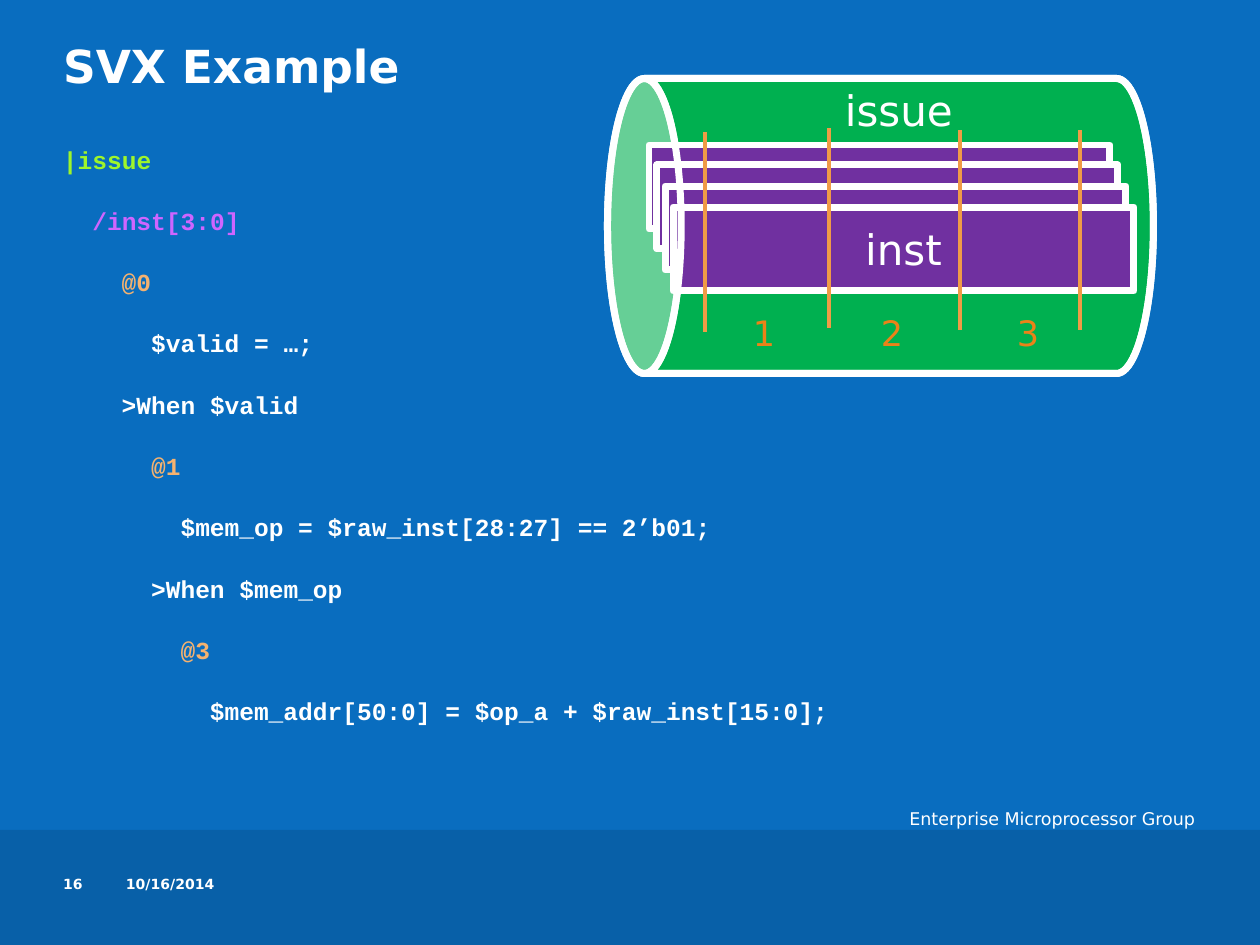
from dataclasses import dataclass
from typing import NamedTuple

from lxml.etree import SubElement
from pptx import Presentation
from pptx.dml.color import RGBColor
from pptx.enum.shapes import MSO_CONNECTOR, MSO_SHAPE
from pptx.enum.text import MSO_ANCHOR, MSO_AUTO_SIZE, PP_ALIGN
from pptx.oxml.ns import qn
from pptx.util import Pt

EMU_PER_PX = 914400 / 126


@dataclass(frozen=True)
class Theme:
    back: str = "096DBF"
    band: str = "0860A8"
    white: str = "FFFFFF"
    pipe: str = "00B050"
    inst: str = "7030A0"
    divider: str = "F09B46"
    stage: str = "EC8218"
    code_pipe: str = "9EF52B"
    code_inst: str = "CF65FF"
    code_stage: str = "F4B270"
    sans: str = "DejaVu Sans"
    mono: str = "Courier New"
    title_pt: int = 26
    label_pt: int = 24
    stage_pt: int = 20
    code_pt: int = 14
    group_pt: int = 10
    footer_pt: int = 8
    outline_pt: float = 4
    divider_pt: float = 2.25


THEME = Theme()


class Box(NamedTuple):
    x: int
    y: int
    w: int
    h: int


class CodeLine(NamedTuple):
    level: int
    text: str
    color: str = THEME.white


class Divider(NamedTuple):
    x: int
    top: int
    bottom: int


class Stage(NamedTuple):
    text: str
    center: int


CODE = [
    CodeLine(0, "|issue", THEME.code_pipe),
    CodeLine(1, "/inst[3:0]", THEME.code_inst),
    CodeLine(2, "@0", THEME.code_stage),
    CodeLine(3, "$valid = …;"),
    CodeLine(2, ">When $valid"),
    CodeLine(3, "@1", THEME.code_stage),
    CodeLine(4, "$mem_op = $raw_inst[28:27] == 2’b01;"),
    CodeLine(3, ">When $mem_op"),
    CodeLine(4, "@3", THEME.code_stage),
    CodeLine(5, "$mem_addr[50:0] = $op_a + $raw_inst[15:0];"),
]
DIVIDERS = [Divider(705, 132, 332), Divider(829, 128, 328),
            Divider(960, 130, 330), Divider(1080, 130, 330)]
STAGES = [Stage("1", 764), Stage("2", 892), Stage("3", 1028)]
INST_COUNT = 4


def px(n: float) -> int:
    return round(n * EMU_PER_PX)


def apply(target, values: dict) -> None:
    for name, value in values.items():
        setattr(target, name, value)


def write(p, text: str, size: int, color: str = THEME.white,
          font: str = THEME.sans, bold: bool = False) -> None:
    r = p.add_run()
    r.text = text
    apply(r.font, {"name": font, "size": Pt(size), "bold": bold})
    r.font.color.rgb = RGBColor.from_string(color)


def plain_frame(s, wrap: bool = True):
    """Text frame without insets, anchored at the top."""
    tf = s.text_frame
    apply(tf, {"margin_left": 0, "margin_top": 0, "margin_right": 0,
               "margin_bottom": 0, "word_wrap": wrap,
               "auto_size": MSO_AUTO_SIZE.NONE,
               "vertical_anchor": MSO_ANCHOR.TOP})
    return tf


def add_text(slide, box: Box, text: str, size: int,
             align=PP_ALIGN.LEFT, bold: bool = False) -> None:
    s = slide.shapes.add_textbox(*map(px, box))
    p = plain_frame(s).paragraphs[0]
    p.alignment = align
    write(p, text, size, bold=bold)


def add_shape(slide, kind, box: Box, fill: str | None, outlined: bool = True):
    s = slide.shapes.add_shape(kind, *map(px, box))
    s.shadow.inherit = False
    if fill:
        s.fill.solid()
        s.fill.fore_color.rgb = RGBColor.from_string(fill)
    else:
        s.fill.background()
    if outlined:
        s.line.color.rgb = RGBColor.from_string(THEME.white)
        s.line.width = Pt(THEME.outline_pt)
    else:
        s.line.fill.background()
    return s


def add_label(s, text: str, size: int, color: str, anchor) -> None:
    tf = s.text_frame
    apply(tf, {"word_wrap": False, "vertical_anchor": anchor})
    p = tf.paragraphs[0]
    p.alignment = PP_ALIGN.CENTER
    write(p, text, size, color)


def add_can(slide, box: Box, fill: str | None):
    s = add_shape(slide, MSO_SHAPE.CAN, box, fill)
    s.rotation = 270
    return s


def add_divider(slide, d: Divider) -> None:
    s = slide.shapes.add_connector(MSO_CONNECTOR.STRAIGHT, px(d.x), px(d.top),
                                   px(d.x), px(d.bottom))
    s.line.color.rgb = RGBColor.from_string(THEME.divider)
    s.line.width = Pt(THEME.divider_pt)
    SubElement(s.element.spPr, qn("a:effectLst"))


def add_code(slide, box: Box, lines: list[CodeLine]) -> None:
    tf = plain_frame(slide.shapes.add_textbox(*map(px, box)))
    level_width = Pt(THEME.code_pt * 1.2)  # two monospaced characters
    for i, line in enumerate(lines):
        p = tf.add_paragraph() if i else tf.paragraphs[0]
        apply(p, {"line_spacing": 1.5, "space_before": Pt(9.8 if i else 0)})
        pPr = p._p.get_or_add_pPr()
        pPr.set("marL", str(line.level * level_width))
        pPr.set("indent", "0")
        write(p, line.text, THEME.code_pt, line.color, THEME.mono, True)


def main() -> None:
    prs = Presentation()
    apply(prs, {"slide_width": px(1260), "slide_height": px(945)})
    slide = prs.slides.add_slide(prs.slide_layouts[5])
    slide.background.fill.solid()
    slide.background.fill.fore_color.rgb = RGBColor.from_string(THEME.back)

    # Title
    title = slide.shapes.title
    apply(title, dict(zip(("left", "top", "width", "height"),
                          map(px, Box(63, 38, 634, 122)))))
    p = plain_frame(title).paragraphs[0]
    p.alignment = PP_ALIGN.LEFT
    write(p, "SVX Example", THEME.title_pt, bold=True)

    # Footer
    add_shape(slide, MSO_SHAPE.RECTANGLE, Box(0, 830, 1260, 115),
              THEME.band, outlined=False)
    add_text(slide, Box(656, 808, 539, 21), "Enterprise Microprocessor Group",
             THEME.group_pt, PP_ALIGN.RIGHT)
    add_text(slide, Box(126, 876, 103, 42), "10/16/2014", THEME.footer_pt, bold=True)
    add_text(slide, Box(63, 876, 57, 42), "16", THEME.footer_pt, bold=True)

    # Code listing
    add_code(slide, Box(63, 130, 1133, 648), CODE)

    # Pipeline with its stack of instructions
    pipe_box = Box(733, -47, 295, 546)
    pipe = add_can(slide, pipe_box, THEME.pipe)
    add_label(pipe, "issue", THEME.label_pt, THEME.white, MSO_ANCHOR.TOP)
    pipe.element.txBody.bodyPr.set("vert", "vert")
    for i in range(INST_COUNT):
        inst = add_shape(slide, MSO_SHAPE.RECTANGLE,
                         Box(649 + 8 * i, 145 + 62 * i // 3, 461, 84), THEME.inst)
    add_label(inst, "inst", THEME.label_pt, THEME.white, MSO_ANCHOR.MIDDLE)

    # Stage boundaries and numbers
    for d in DIVIDERS:
        add_divider(slide, d)
    for stage in STAGES:
        s = slide.shapes.add_textbox(*map(px, Box(stage.center - 24, 305, 48, 55)))
        add_label(s, stage.text, THEME.stage_pt, THEME.stage, MSO_ANCHOR.TOP)

    # Pipeline outline over the stack
    add_can(slide, pipe_box, None)
    prs.save("out.pptx")


if __name__ == "__main__":
    main()
